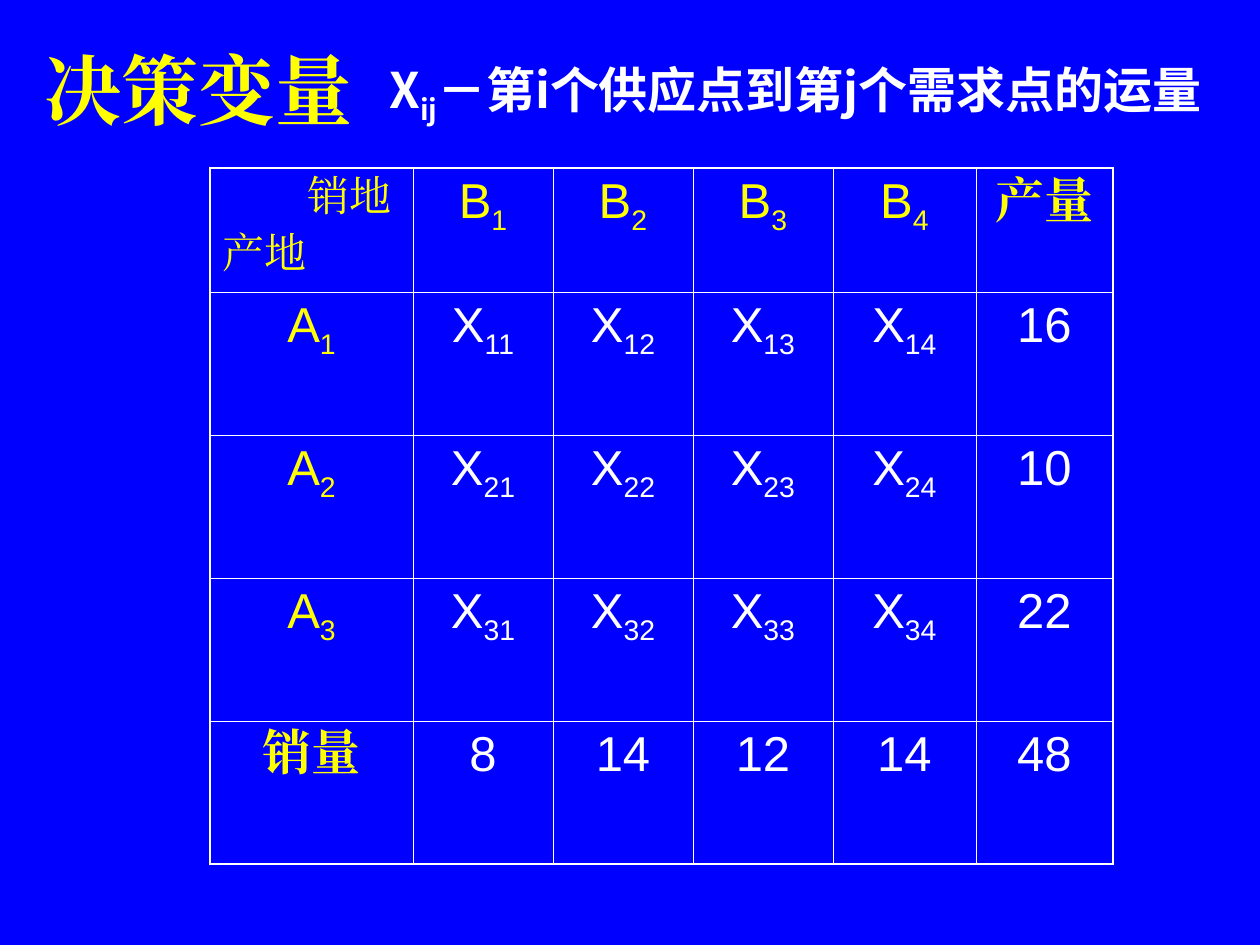
from dataclasses import dataclass

from lxml import etree
from pptx import Presentation
from pptx import util as u
from pptx.dml.color import RGBColor
from pptx.enum import text
from pptx.oxml.ns import qn

EMU_PER_PX = 914400 / 126


@dataclass(frozen=True)
class Theme:
    background = RGBColor(0x00, 0x00, 0xFF)
    label = RGBColor(0xFF, 0xFF, 0x00)
    value = RGBColor(0xFF, 0xFF, 0xFF)
    border = "FFFFFF"
    serif = "Times New Roman"
    sans = "Arial"
    chinese = "Noto Sans CJK SC"
    title_size = 44
    body_size = 28
    corner_size = 24
    inner_line = 0.45
    outer_line = 1.08


THEME = Theme()
COLUMN_WIDTHS = [203, 140, 140, 140, 143, 137]
ROW_HEIGHTS = [124] + [143] * 4
SUPPLY = ["16", "10", "22"]
DEMAND = ["8", "14", "12", "14", "48"]


def px(length):
    return u.Emu(round(length * EMU_PER_PX))


def format_run(run, size, font, color, bold=False, subscript=False):
    run.font.size = u.Pt(size)
    run.font.bold = bold
    run.font.color.rgb = color
    run.font.name = font
    properties = run.font._element
    etree.SubElement(properties, qn("a:ea")).set("typeface", font)
    if subscript:
        properties.set("baseline", "-25000")


def write_symbol(paragraph, parts, size, font, color, bold=False):
    """Write base text, subscript and following text in turn."""
    for index, part in enumerate(parts):
        run = paragraph.add_run()
        run.text = part
        format_run(run, size, font, color, bold, subscript=index == 1)


def add_title(slide, words):
    title = slide.shapes.title
    title.left, title.top, title.width, title.height = map(px, (32, 10, 1071, 158))
    frame = title.text_frame
    frame.text = words
    frame.auto_size = text.MSO_AUTO_SIZE.NONE
    frame.vertical_anchor = text.MSO_ANCHOR.MIDDLE
    paragraph = frame.paragraphs[0]
    paragraph.alignment = text.PP_ALIGN.LEFT
    format_run(paragraph.runs[0], THEME.title_size, THEME.serif, THEME.label, bold=True)


def add_definition(slide, parts):
    box = slide.shapes.add_textbox(*map(px, (377, 53, 896, 79)))
    frame = box.text_frame
    frame.word_wrap = False
    frame.auto_size = text.MSO_AUTO_SIZE.SHAPE_TO_FIT_TEXT
    write_symbol(frame.paragraphs[0], parts, THEME.body_size, THEME.chinese,
                 THEME.value, bold=True)


def style_cell(cell, outer_sides):
    properties = cell._tc.get_or_add_tcPr()
    for side in "LRTB":
        width = THEME.outer_line if side in outer_sides else THEME.inner_line
        line = etree.SubElement(properties, qn(f"a:ln{side}"), w=str(u.Pt(width)))
        fill = etree.SubElement(line, qn("a:solidFill"))
        etree.SubElement(fill, qn("a:srgbClr"), val=THEME.border)
    cell.fill.background()


def fill_corner(cell):
    frame = cell.text_frame
    frame.text = "销地\n产地"
    destination, origin = frame.paragraphs
    destination._p.get_or_add_pPr().set("marL", str(px(85)))
    origin.space_before = u.Pt(6)
    for paragraph in frame.paragraphs:
        format_run(paragraph.runs[0], THEME.corner_size, THEME.serif, THEME.label)


def table_rows():
    """Each cell is a tuple of base text and optional subscript."""
    header = [()] + [("B", str(j)) for j in range(1, 5)] + [("产量",)]
    routes = [
        [("A", str(i))] + [("X", f"{i}{j}") for j in range(1, 5)] + [(amount,)]
        for i, amount in enumerate(SUPPLY, start=1)
    ]
    totals = [("销量",)] + [(amount,) for amount in DEMAND]
    return [header, *routes, totals]


def add_transport_table(slide):
    rows = table_rows()
    last_row, last_column = len(rows) - 1, len(COLUMN_WIDTHS) - 1
    table = slide.shapes.add_table(
        len(rows), len(COLUMN_WIDTHS), px(210), px(168),
        px(sum(COLUMN_WIDTHS)), px(sum(ROW_HEIGHTS))).table
    table.first_row = table.horz_banding = False
    for column, width in zip(table.columns, COLUMN_WIDTHS):
        column.width = px(width)
    for row, height in zip(table.rows, ROW_HEIGHTS):
        row.height = px(height)

    for i, row in enumerate(rows):
        for j, parts in enumerate(row):
            cell = table.cell(i, j)
            edges = {"L": j == 0, "R": j == last_column,
                     "T": i == 0, "B": i == last_row}
            style_cell(cell, [side for side, outer in edges.items() if outer])
            if not parts:
                fill_corner(cell)
                continue
            is_total = parts[0] in ("产量", "销量")
            paragraph = cell.text_frame.paragraphs[0]
            paragraph.alignment = text.PP_ALIGN.CENTER
            write_symbol(paragraph, parts, THEME.body_size,
                         THEME.serif if is_total else THEME.sans,
                         THEME.label if i == 0 or j == 0 else THEME.value,
                         bold=is_total)


def main():
    presentation = Presentation()
    presentation.slide_width, presentation.slide_height = px(1260), px(945)
    slide = presentation.slides.add_slide(presentation.slide_layouts[5])
    slide.background.fill.solid()
    slide.background.fill.fore_color.rgb = THEME.background

    # Heading, table of routes, meaning of the variable
    add_title(slide, "决策变量")
    add_transport_table(slide)
    add_definition(slide, ["X", "ij", "－第i个供应点到第j个需求点的运量"])
    presentation.save("out.pptx")


if __name__ == "__main__":
    main()
